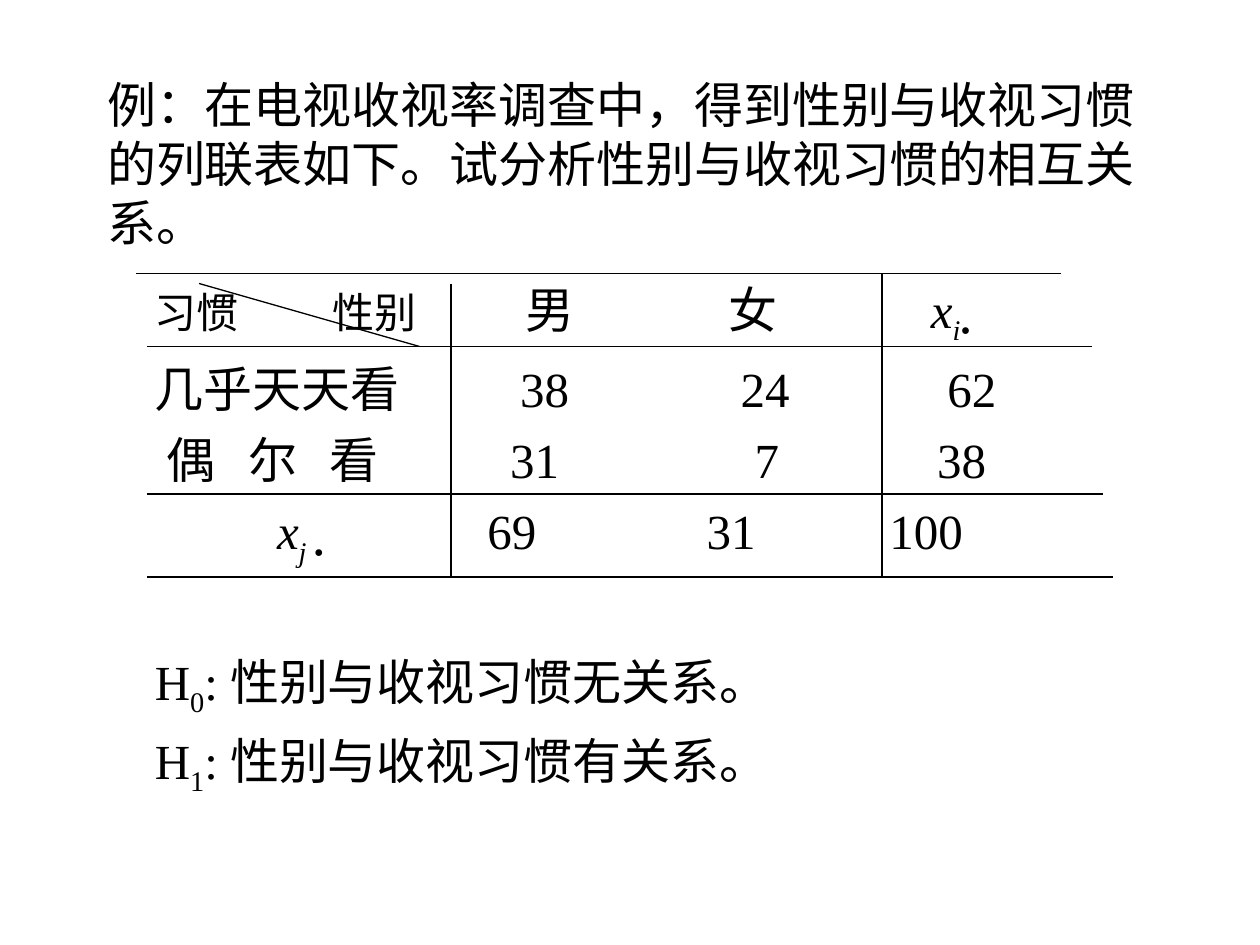
from lxml import etree
from pptx import Presentation
from pptx import util as u
from pptx.dml.color import RGBColor
from pptx.enum import shapes, text
from pptx.oxml.ns import qn

FONT = "Times New Roman"
INK = "000000"
SUBSCRIPT = "-25000"

COUNT_ROWS = [
    ([("习惯\t性别", "small"), ("\t男\t女\t", ""), ("x", "italic"), ("i•", "italic sub")],
     [1.41, 2.94, 4.55, 6.16]),
    ([("几乎天天看\t38\t24\t62", "")], [2.9, 4.65, 6.29]),
    ([("\t偶\t尔\t看\t31\t7\t38", "")], [0.09, 0.74, 1.39, 2.82, 4.76, 6.21]),
    ([("\t", ""), ("x", "italic"), ("j •", "italic sub"), ("\t69\t31\t100", "")],
     [0.97, 2.64, 4.38, 5.83]),
]
HYPOTHESES = [
    ([("H", ""), (number, "sub"), (f": 性别与收视习惯{relation}关系。", "")], [])
    for number, relation in [("0", "无"), ("1", "有")]
]
RULES = [
    (1.08, 2.17, 8.42, 2.17),
    (1.17, 2.75, 8.67, 2.75),
    (1.17, 3.92, 8.75, 3.92),
    (1.17, 4.58, 8.83, 4.58),
    (3.58, 2.25, 3.58, 4.58),
    (7, 2.17, 7, 4.58),
    (1.58, 2.25, 3.33, 2.75),
]


def colour(value):
    return RGBColor.from_string(value)


def place(shape, left, top, width, height):
    shape.left, shape.top = u.Inches(left), u.Inches(top)
    shape.width, shape.height = u.Inches(width), u.Inches(height)


def format_font(paragraph):
    paragraph.font.name = FONT
    paragraph.font.size = u.Pt(28)
    paragraph.font.color.rgb = colour(INK)


def add_tabs(paragraph, positions):
    tabs = etree.SubElement(paragraph._p.get_or_add_pPr(), qn("a:tabLst"))
    for position in positions:
        etree.SubElement(tabs, qn("a:tab"), pos=str(u.Inches(position)), algn="l")


def add_title(slide, box):
    title = slide.shapes.title
    place(title, *box)
    frame = title.text_frame
    frame.text = "例：在电视收视率调查中，得到性别与收视习惯的列联表如下。试分析性别与收视习惯的相互关系。"
    frame.word_wrap = True
    frame.auto_size = text.MSO_AUTO_SIZE.NONE
    frame.vertical_anchor = text.MSO_ANCHOR.MIDDLE
    paragraph = frame.paragraphs[0]
    paragraph.alignment = text.PP_ALIGN.LEFT
    format_font(paragraph)


def add_lines(slide, box, lines):
    frame = slide.shapes.add_textbox(*map(u.Inches, box)).text_frame
    frame.word_wrap = True
    for index, (parts, tabs) in enumerate(lines):
        paragraph = frame.add_paragraph() if index else frame.paragraphs[0]
        if index:
            paragraph.space_before = u.Pt(7)
        if tabs:
            add_tabs(paragraph, tabs)
        format_font(paragraph)
        for content, style in parts:
            run = paragraph.add_run()
            run.text = content
            if "small" in style:
                run.font.size = u.Pt(24)
            if "italic" in style:
                run.font.italic = True
            if "sub" in style:
                run.font._element.set("baseline", SUBSCRIPT)


def add_rules(slide, rules):
    for ends in rules:
        rule = slide.shapes.add_connector(
            shapes.MSO_CONNECTOR.STRAIGHT, *map(u.Inches, ends))
        rule.line.color.rgb = colour(INK)
        rule.line.width = u.Pt(0.75)
        etree.SubElement(rule._element.spPr, qn("a:effectLst"))


def main():
    presentation = Presentation()
    presentation.slide_width = u.Inches(10)
    presentation.slide_height = u.Inches(7.5)
    slide = presentation.slides.add_slide(presentation.slide_layouts[5])
    add_title(slide, (0.75, 0.67, 8.5, 1.25))
    add_lines(slide, (1.13, 2.17, 8.12, 2.4), COUNT_ROWS)
    add_lines(slide, (1.13, 5.12, 8.12, 1.55), HYPOTHESES)
    add_rules(slide, RULES)
    presentation.save("out.pptx")


if __name__ == "__main__":
    main()
